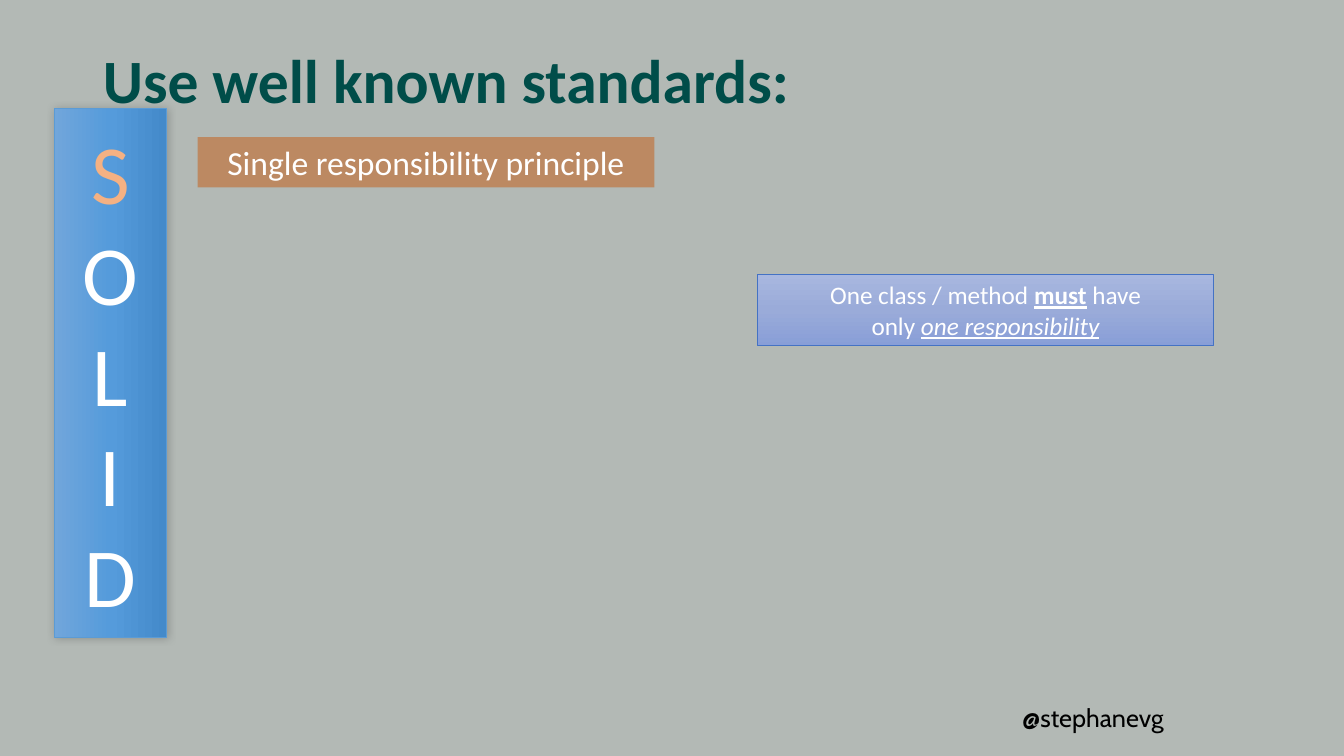
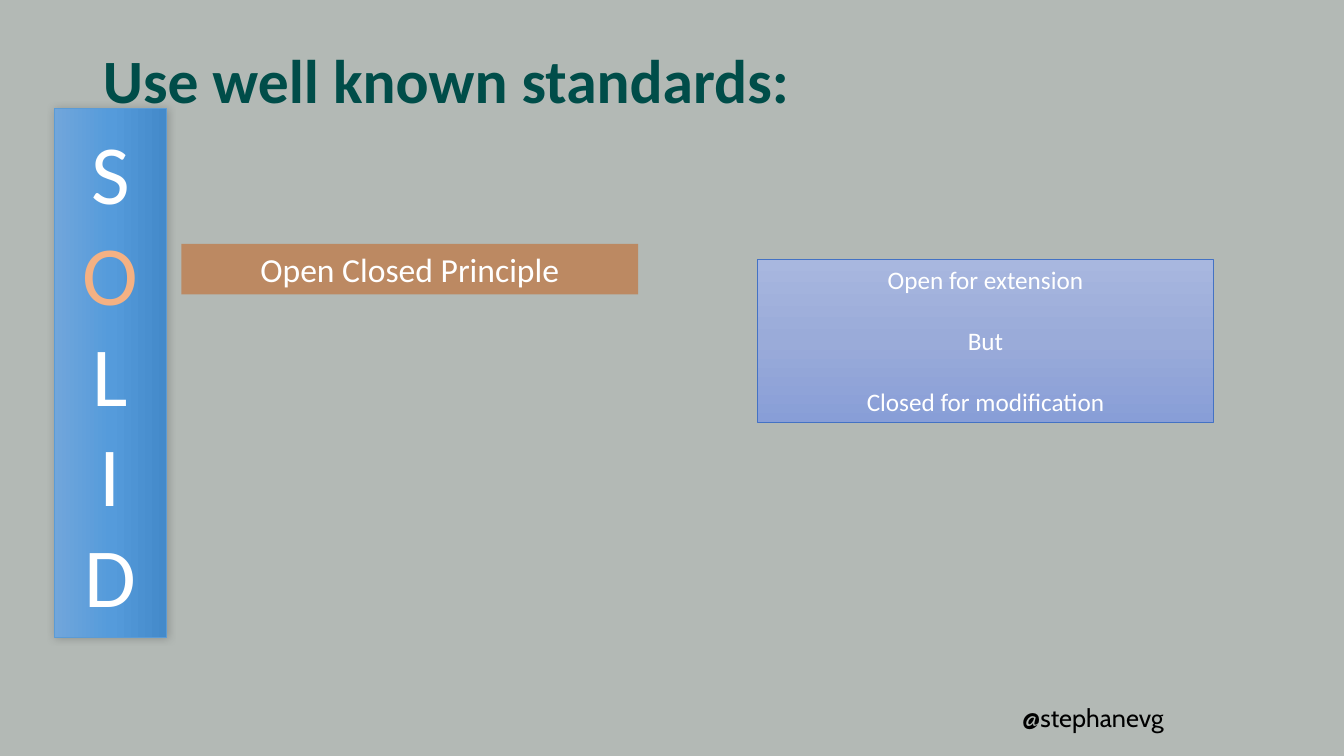
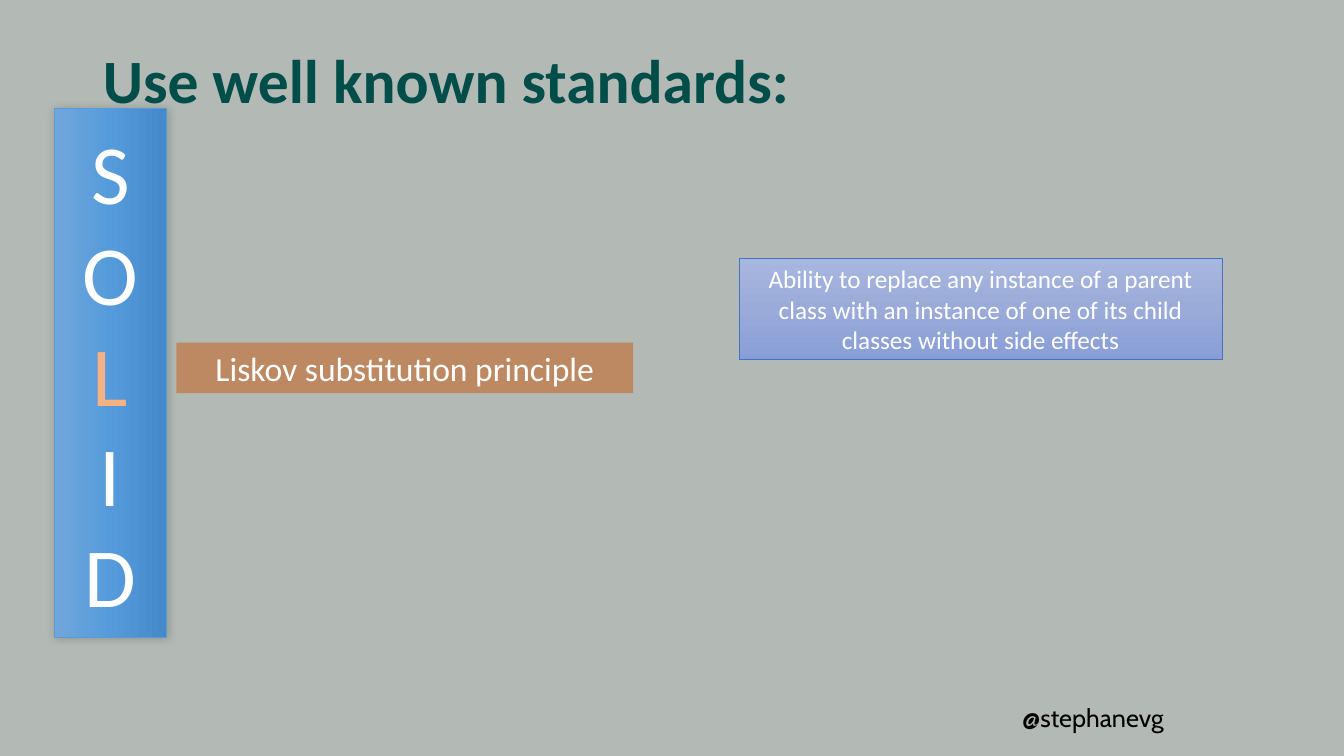
from lxml.etree import SubElement
from pptx import Presentation
from pptx.dml.color import RGBColor as RGB
from pptx.enum.shapes import MSO_SHAPE
from pptx.enum.text import MSO_ANCHOR as ANCHOR, MSO_AUTO_SIZE as AUTO, PP_ALIGN as ALIGN
from pptx.oxml.ns import qn
from pptx.util import Inches, Pt

SLIDE_W, SLIDE_H = 13.33, 7.5
TITLE_ONLY = 5

GREY = RGB(0xB3, 0xB9, 0xB5)
GREEN = RGB(0x00, 0x4D, 0x49)
BLACK = RGB(0x00, 0x00, 0x00)
WHITE = RGB(0xFF, 0xFF, 0xFF)
PEACH = RGB(0xF4, 0xB1, 0x83)
RUST = RGB(0xC5, 0x5A, 0x11)
BAR_LINE = RGB(0x5B, 0x9B, 0xD5)
BAR_STOPS = (RGB(0x71, 0xA6, 0xDB), RGB(0x55, 0x9B, 0xDB), RGB(0x44, 0x8A, 0xCA))
NOTE_LINE = RGB(0x44, 0x72, 0xC4)
NOTE_STOPS = (RGB(0xA8, 0xB7, 0xDF), RGB(0x9A, 0xAB, 0xD9), RGB(0x88, 0x9E, 0xD7))

TITLE = "Use well known standards:"
HANDLE = "@stephanevg"
ACRONYM = "SOLID"

TITLE_BOX = (0.92, 0.4, 11.5, 0.85)
HANDLE_BOX = (10.04, 6.92, 2.38, 0.4)
BAR_BOX = (0.54, 1.07, 1.11, 5.25)
LABEL_SIZE = (4.53, 0.5)

# One entry per slide: label, its left and top, the note's box,
# and the note's paragraphs, each a list of (text, style) runs.
PRINCIPLES = [
    ("Single responsibility principle", (1.96, 1.36), (7.51, 2.72, 4.53, 0.71),
     [[("One class / method ", ""), ("must", "bu"), (" have", "")],
      [("only ", ""), ("one responsibility", "iu")]]),
    ("Open Closed Principle", (1.8, 2.42), (7.51, 2.57, 4.53, 1.62),
     [[("Open for extension", "")], [("But", "")], [("Closed for modification", "")]]),
    ("Liskov substitution principle", (1.75, 3.4), (7.33, 2.56, 4.79, 1.01),
     [[("Ability to replace any instance of a parent class with an instance "
        "of one of its child classes without side effects", "")]]),
]
NOTE_GAPS = (0, 22, 0)


def inches(box):
    return [Inches(v) for v in box]


def add_run(p, text, size, color, style="", font="Calibri"):
    """Add a run; style holds any of the letters b, i and u."""
    r = p.add_run()
    r.text = text
    r.font.name, r.font.size = font, Pt(size)
    r.font.color.rgb = color
    for letter, attr in (("b", "bold"), ("i", "italic"), ("u", "underline")):
        if letter in style:
            setattr(r.font, attr, True)


def fill_text(sp, paragraphs, size, gap=0):
    """Centre paragraphs of (text, style, color) runs in a shape."""
    tf = sp.text_frame
    tf.word_wrap = True
    tf.auto_size = AUTO.SHAPE_TO_FIT_TEXT
    tf.vertical_anchor = ANCHOR.MIDDLE
    for i, runs in enumerate(paragraphs):
        p = tf.add_paragraph() if i else tf.paragraphs[0]
        p.alignment = ALIGN.CENTER
        if i and gap:
            p.space_before = Pt(gap)
        for text, style, color in runs:
            add_run(p, text, size, color, style)


def add_rect(slide, box):
    sp = slide.shapes.add_shape(MSO_SHAPE.RECTANGLE, *inches(box))
    sp.shadow.inherit = False
    return sp


def add_gradient_rect(slide, box, stops, angle, line):
    """Add a rectangle with evenly spaced stops; angle runs clockwise."""
    sp = add_rect(slide, box)
    sp.line.color.rgb = line
    sp.line.width = Pt(0.5)
    sp.fill.gradient()
    grad = sp._element.spPr.find(qn("a:gradFill"))
    gs_list = grad.find(qn("a:gsLst"))
    gs_list.clear()
    for i, color in enumerate(stops):
        gs = SubElement(gs_list, qn("a:gs"), pos=str(100000 * i // (len(stops) - 1)))
        SubElement(gs, qn("a:srgbClr"), val=str(color))
    grad.find(qn("a:lin")).set("ang", str(angle * 60000))
    return sp


def add_soft_shadow(sp):
    effects = sp._element.spPr.find(qn("a:effectLst"))
    shadow = SubElement(effects, qn("a:outerShdw"), blurRad=str(Pt(6)), dist="0",
                        dir=str(315 * 60000), rotWithShape="0")
    color = SubElement(shadow, qn("a:srgbClr"), val=str(BLACK))
    SubElement(color, qn("a:alpha"), val="20000")


def add_title(slide):
    sp = slide.shapes.title
    sp.left, sp.top, sp.width, sp.height = inches(TITLE_BOX)
    sp.text_frame.vertical_anchor = ANCHOR.MIDDLE
    p = sp.text_frame.paragraphs[0]
    p.alignment = ALIGN.LEFT
    p.line_spacing = 0.9
    add_run(p, TITLE, 44, GREEN, "b")


def add_handle(slide):
    tf = slide.shapes.add_textbox(*inches(HANDLE_BOX)).text_frame
    tf.word_wrap = True
    tf.vertical_anchor = ANCHOR.MIDDLE
    add_run(tf.paragraphs[0], HANDLE, 18, BLACK, font="Cabin")


def add_acronym_bar(slide, current):
    sp = add_gradient_rect(slide, BAR_BOX, BAR_STOPS, 0, BAR_LINE)
    add_soft_shadow(sp)
    fill_text(sp, [[(letter, "", PEACH if i == current else WHITE)]
                   for i, letter in enumerate(ACRONYM)], 60)


def add_label(slide, text, corner):
    sp = add_rect(slide, corner + LABEL_SIZE)
    sp.fill.solid()
    sp.fill.fore_color.rgb = RUST
    color = sp._element.spPr.find(qn("a:solidFill"))[0]
    SubElement(color, qn("a:alpha"), val="50000")
    sp.line.fill.background()
    fill_text(sp, [[(text, "", WHITE)]], 24)


def add_note(slide, box, paragraphs, gap):
    sp = add_gradient_rect(slide, box, NOTE_STOPS, 90, NOTE_LINE)
    fill_text(sp, [[(text, style, WHITE) for text, style in runs]
                   for runs in paragraphs], 18, gap)


def main():
    prs = Presentation()
    prs.slide_width, prs.slide_height = Inches(SLIDE_W), Inches(SLIDE_H)
    background = prs.slide_master.background.fill
    background.solid()
    background.fore_color.rgb = GREY
    for i, (label, corner, note_box, note) in enumerate(PRINCIPLES):
        slide = prs.slides.add_slide(prs.slide_layouts[TITLE_ONLY])
        add_title(slide)
        add_handle(slide)
        add_acronym_bar(slide, i)
        add_label(slide, label, corner)
        add_note(slide, note_box, note, NOTE_GAPS[i])
    prs.save("out.pptx")


if __name__ == "__main__":
    main()
